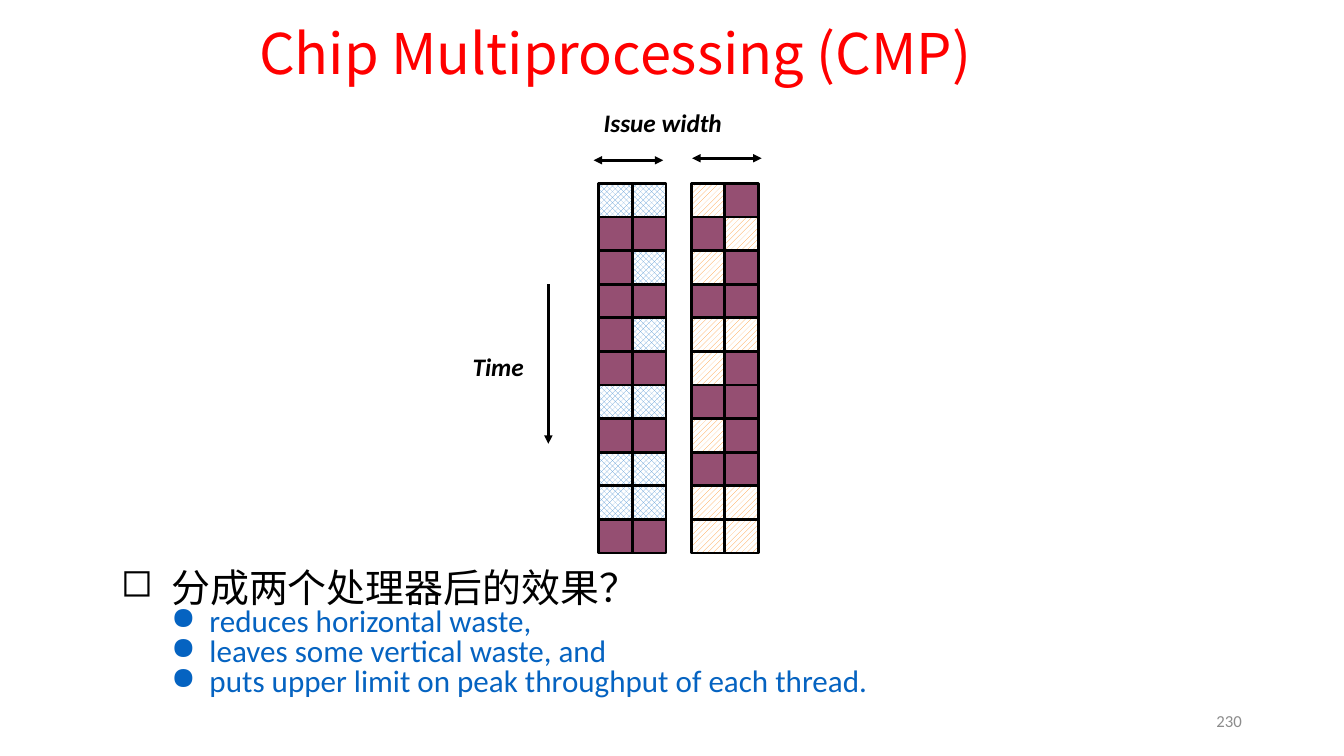
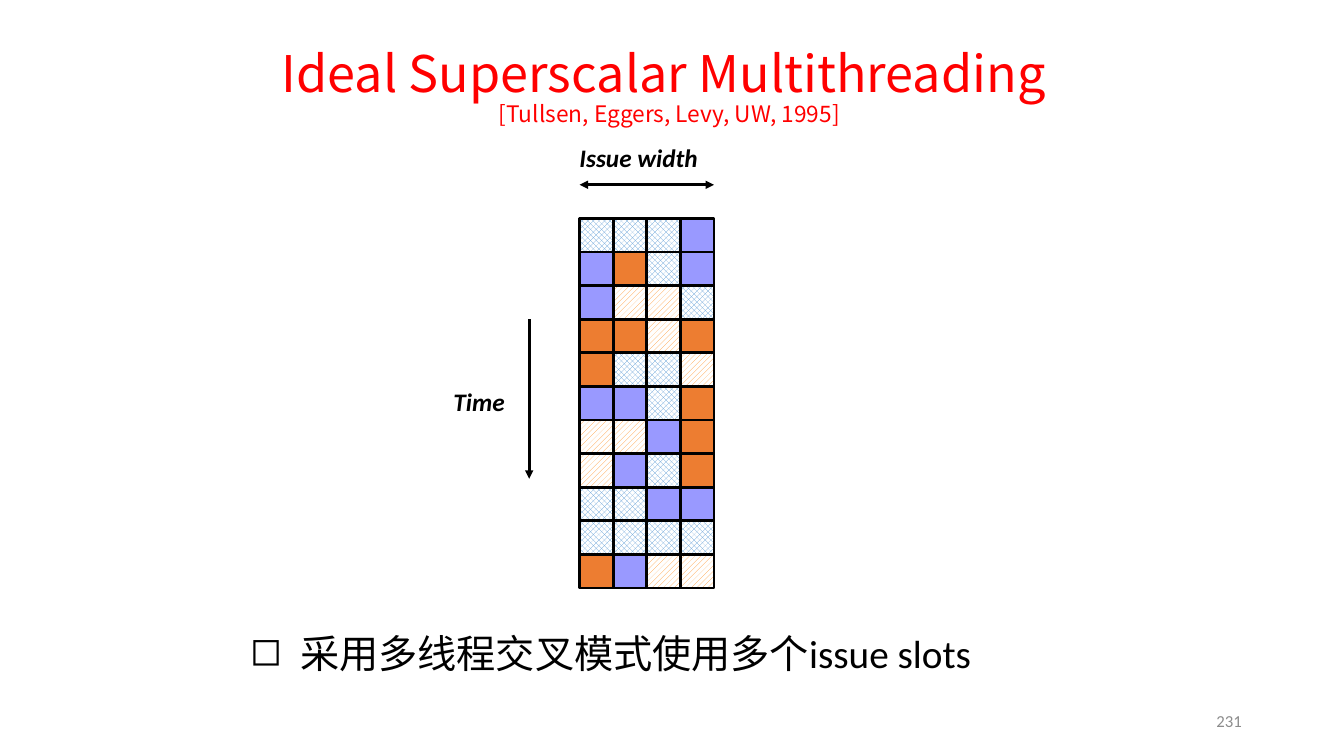
from dataclasses import dataclass

from lxml import etree
from pptx import Presentation
from pptx import util as u
from pptx.dml.color import RGBColor
from pptx.enum import dml, shapes, text
from pptx.oxml.ns import qn

COLUMNS, ROWS = 40, 22.5
CELL = u.Inches(1) / 3


@dataclass(frozen=True)
class Theme:
    title: str = "FF0000"
    ink: str = "000000"
    paper: str = "FFFFFF"
    detail: str = "0563C1"
    number: str = "8C8C8C"
    latin: str = "Calibri"
    asian: str = "Noto Sans CJK SC"
    label_size: float = 18
    number_size: float = 12
    citation_size: float = 16.2
    stroke: float = 2


@dataclass(frozen=True)
class Area:
    left: float
    top: float
    width: float
    height: float

    def lengths(self) -> list[u.Emu]:
        return [cells(n) for n in (self.left, self.top, self.width, self.height)]


@dataclass(frozen=True)
class Slot:
    colour: str
    pattern: dml.MSO_PATTERN | None = None


@dataclass(frozen=True)
class Bullet:
    words: str
    size: float
    spacing: float
    level: int = 0


@dataclass(frozen=True)
class BulletStyle:
    mark: str
    colour: str
    margin: float
    hang: float
    before: float


@dataclass(frozen=True)
class Block:
    offset: float
    slots: str
    arrow_left: float
    arrow_top: float
    arrow_width: float


@dataclass(frozen=True)
class Diagram:
    left: float
    top: float
    label_shift: float
    blocks: tuple[Block, ...]


@dataclass(frozen=True)
class Topic:
    title: str
    title_size: float
    title_area: Area
    bullets: tuple[Bullet, ...]
    bullet_area: Area
    diagram: Diagram
    number: int
    citation: str = ""


THEME = Theme()
NUMBER_AREA = Area(28.26, 20.85, 9, 1.2)
BULLET_STYLES = (
    BulletStyle("◻", THEME.ink, 0.5, 0.5, 10),
    BulletStyle("●", THEME.detail, 0.88, 0.38, 0),
)
SLOTS = {
    "B": Slot("5B9BD5", dml.MSO_PATTERN.SOLID_DIAMOND),
    "D": Slot("FF9933", dml.MSO_PATTERN.WIDE_UPWARD_DIAGONAL),
    "H": Slot("ED7D31", dml.MSO_PATTERN.DARK_HORIZONTAL),
    "M": Slot("954F72"),
    "V": Slot("9999FF"),
}
TOPICS = (
    Topic(
        "Chip Multiprocessing (CMP)", 40, Area(6.57, 0.18, 23.49, 3),
        (
            Bullet("分成两个处理器后的效果？", 27.8, 0.7),
            Bullet("reduces horizontal waste,", 22.2, 0.8, 1),
            Bullet("leaves some vertical waste, and", 22.2, 0.8, 1),
            Bullet("puts upper limit on peak throughput of each thread.", 22.2, 0.8, 1),
        ),
        Area(3.3, 17, 32.25, 4.23),
        Diagram(17.82, 5.46, -0.15, (
            Block(0, "BB MM MB MM MB MM BB MM BB BB MM", -0.15, -0.69, 2.07),
            Block(2.75, "DM MD DM MM DD DM MM DM MM DD DD", 0.03, -0.75, 2.07),
        )),
        230,
    ),
    Topic(
        "Ideal Superscalar Multithreading ", 36, Area(5.73, 1.62, 28.38, 2),
        (Bullet("采用多线程交叉模式使用多个issue slots", 28, 0.9),),
        Area(7.14, 18.75, 25.74, 2.76),
        Diagram(17.25, 6.5, -0.3, (
            Block(0, "BBBV VHBV VDDB HHDH HBBD VVBH DDVH DVBH BBVV BBBB HVDD", 0, -1, 4),
        )),
        231,
        "[Tullsen, Eggers, Levy, UW, 1995]",
    ),
)


def cells(count: float) -> u.Emu:
    return u.Emu(round(count * CELL))


def rgb(colour: str) -> RGBColor:
    return RGBColor.from_string(colour)


def add_box(page, area: Area, anchor=text.MSO_ANCHOR.TOP, wrap: bool = True):
    frame = page.shapes.add_textbox(*area.lengths()).text_frame
    frame.word_wrap = wrap
    frame.vertical_anchor = anchor
    return frame


def set_font(para, size: float, colour: str, latin: str = THEME.latin) -> None:
    para.font.size = u.Pt(size)
    para.font.color.rgb = rgb(colour)
    para.font.name = latin
    defaults = para._p.get_or_add_pPr().find(qn("a:defRPr"))
    etree.SubElement(defaults, qn("a:ea")).set("typeface", THEME.asian)


def add_title(page, topic: Topic) -> None:
    para = add_box(page, topic.title_area, text.MSO_ANCHOR.MIDDLE).paragraphs[0]
    para.alignment = text.PP_ALIGN.CENTER
    para.line_spacing = 0.9
    set_font(para, topic.title_size, THEME.title, THEME.asian)
    para.add_run().text = topic.title
    if topic.citation:
        para.add_line_break()
        span = para.add_run()
        span.text = topic.citation
        span.font.size = u.Pt(THEME.citation_size)


def add_bullets(page, topic: Topic) -> None:
    frame = add_box(page, topic.bullet_area)
    for index, bullet in enumerate(topic.bullets):
        para = frame.add_paragraph() if index else frame.paragraphs[0]
        style = BULLET_STYLES[bullet.level]
        para.text = bullet.words
        para.level = bullet.level
        para.line_spacing = bullet.spacing
        para.space_before = u.Pt(style.before)
        set_font(para, bullet.size, style.colour)
        settings = para._p.get_or_add_pPr()
        settings.set("marL", str(u.Inches(style.margin)))
        settings.set("indent", str(-u.Inches(style.hang)))
        mark = etree.Element(qn("a:buChar"), char=style.mark)
        settings.find(qn("a:defRPr")).addprevious(mark)


def add_number(page, number: int) -> None:
    para = add_box(page, NUMBER_AREA, text.MSO_ANCHOR.MIDDLE).paragraphs[0]
    para.text = str(number)
    para.alignment = text.PP_ALIGN.RIGHT
    set_font(para, THEME.number_size, THEME.number)


def add_label(page, words: str, area: Area) -> None:
    para = add_box(page, area, wrap=False).paragraphs[0]
    para.text = words
    para.font.bold = para.font.italic = True
    set_font(para, THEME.label_size, THEME.ink)


def add_arrow(page, left: float, top: float, right: float, bottom: float,
              ends: tuple[str, ...]) -> None:
    arrow = page.shapes.add_connector(
        shapes.MSO_CONNECTOR.STRAIGHT, *map(cells, (left, top, right, bottom)))
    arrow.line.width = u.Pt(THEME.stroke)
    arrow.line.color.rgb = rgb(THEME.ink)
    outline = arrow.line._get_or_add_ln()
    for end in ends:
        etree.SubElement(outline, qn(f"a:{end}")).set("type", "triangle")
    etree.SubElement(arrow._element.spPr, qn("a:effectLst"))


def add_slot(page, slot: Slot, left: float, top: float) -> None:
    square = page.shapes.add_shape(
        shapes.MSO_SHAPE.RECTANGLE, *Area(left, top, 1, 1).lengths())
    square.shadow.inherit = False
    square.line.width = u.Pt(THEME.stroke)
    square.line.color.rgb = rgb(THEME.ink)
    if slot.pattern is None:
        square.fill.solid()
        square.fill.fore_color.rgb = rgb(slot.colour)
    else:
        square.fill.patterned()
        square.fill.pattern = slot.pattern
        square.fill.fore_color.rgb = rgb(slot.colour)
        square.fill.back_color.rgb = rgb(THEME.paper)


def add_diagram(page, diagram: Diagram) -> None:
    left, top = diagram.left, diagram.top
    for block in diagram.blocks:
        start = left + block.offset
        for row, line in enumerate(block.slots.split()):
            for column, key in enumerate(line):
                add_slot(page, SLOTS[key], start + column, top + row)
        arrow_left, arrow_top = start + block.arrow_left, top + block.arrow_top
        add_arrow(page, arrow_left, arrow_top, arrow_left + block.arrow_width,
                  arrow_top, ("headEnd", "tailEnd"))
    add_label(page, "Issue width", Area(left + diagram.label_shift, top - 2.4, 4.17, 1.2))
    add_arrow(page, left - 1.5, top + 3, left - 1.5, top + 7.75, ("tailEnd",))
    add_label(page, "Time", Area(left - 4.05, top + 4.86, 2.16, 1.2))


def main() -> None:
    deck = Presentation()
    deck.slide_width, deck.slide_height = cells(COLUMNS), cells(ROWS)
    for topic in TOPICS:
        page = deck.slides.add_slide(deck.slide_layouts[6])
        add_title(page, topic)
        add_bullets(page, topic)
        add_number(page, topic.number)
        add_diagram(page, topic.diagram)
    deck.save("out.pptx")


if __name__ == "__main__":
    main()
